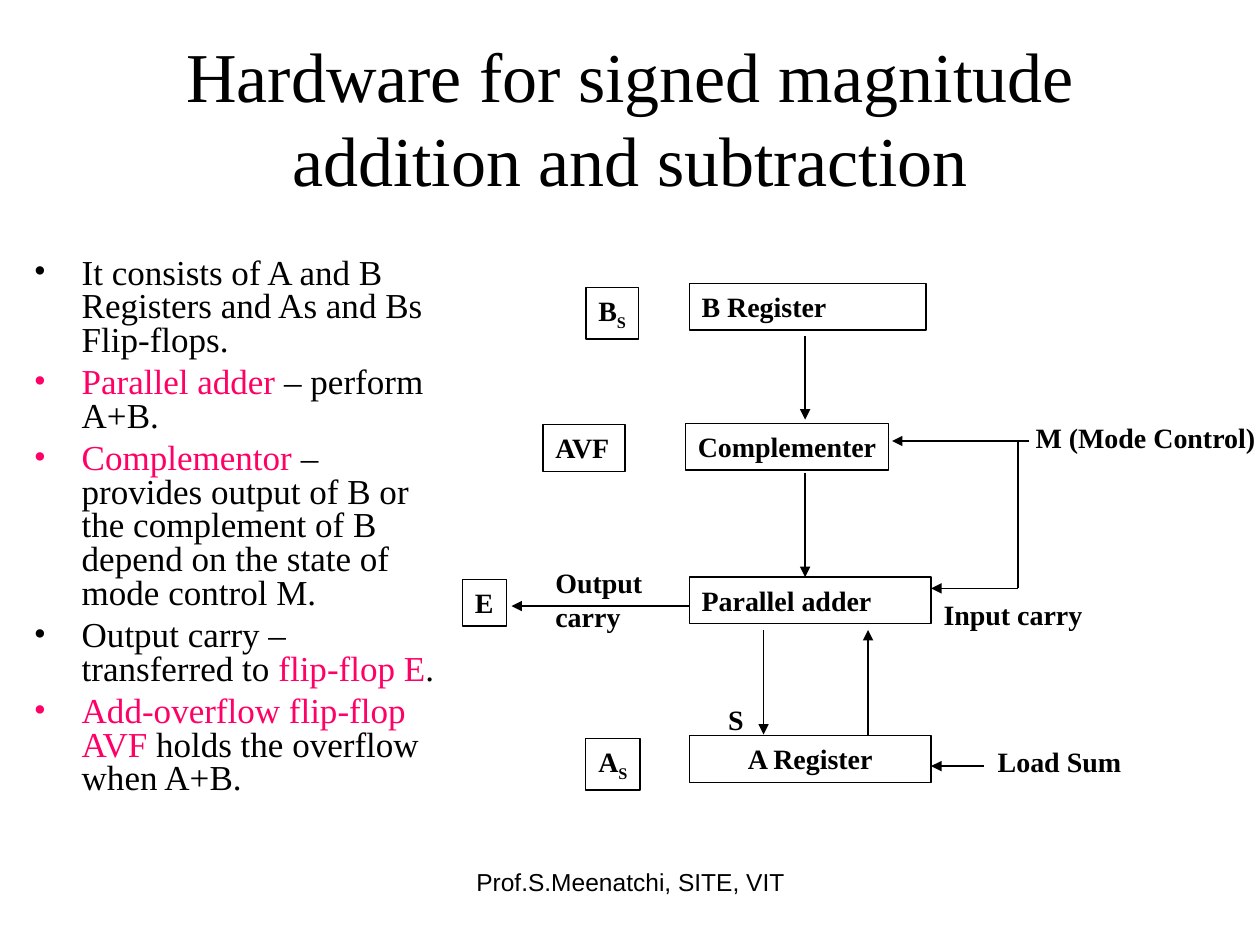
import pptx
import pptx.dml.color
import pptx.enum.shapes
import pptx.enum.text
import pptx.oxml
import pptx.oxml.ns
import pptx.util
from lxml import etree

Inches = pptx.util.Inches
Pt = pptx.util.Pt
ALIGN = pptx.enum.text.PP_ALIGN
ANCHOR = pptx.enum.text.MSO_ANCHOR
qn = pptx.oxml.ns.qn

BLACK = "000000"
PINK = "FF0066"
SERIF = "Times New Roman"
LABEL = {"size": Pt(16), "name": SERIF, "bold": True}
TITLE = {"size": Pt(40), "name": SERIF}
BODY = {"size": Pt(20), "name": SERIF}
FOOTER = {"size": Pt(14), "name": "Arial"}


def colour(value):
    return pptx.dml.color.RGBColor.from_string(value)


class SlideBuilder:
    line_width = Pt(0.75)

    def __init__(self, slide):
        self.slide = slide

    def add_run(self, paragraph, text, style, shade=BLACK):
        run = paragraph.add_run()
        run.text = text
        for name, value in style.items():
            setattr(run.font, name, value)
        run.font.color.rgb = colour(shade)
        return run

    def fill_text(self, shape, lines, style, align=ALIGN.LEFT, wrap=True,
                  anchor=ANCHOR.TOP, subscript=""):
        frame = shape.text_frame
        frame.word_wrap = wrap
        frame.vertical_anchor = anchor
        for index, line in enumerate(lines.split("\n")):
            paragraph = frame.paragraphs[0] if index == 0 else frame.add_paragraph()
            paragraph.alignment = align
            self.add_run(paragraph, line, style)
        if subscript:
            run = self.add_run(paragraph, subscript, style)
            run.font._element.set("baseline", "-25000")

    def text(self, place, lines, style=LABEL, **layout):
        shape = self.slide.shapes.add_textbox(*map(Inches, place))
        self.fill_text(shape, lines, style, **layout)

    def box(self, place, label, **layout):
        rectangle = pptx.enum.shapes.MSO_SHAPE.RECTANGLE
        shape = self.slide.shapes.add_shape(rectangle, *map(Inches, place))
        shape.shadow.inherit = False
        shape.fill.background()
        shape.line.color.rgb = colour(BLACK)
        shape.line.width = self.line_width
        self.fill_text(shape, label, LABEL, **layout)

    def line(self, start, end, arrow=True):
        straight = pptx.enum.shapes.MSO_CONNECTOR.STRAIGHT
        connector = self.slide.shapes.add_connector(
            straight, *map(Inches, start + end))
        connector.line.color.rgb = colour(BLACK)
        connector.line.width = self.line_width
        properties = connector._element.spPr
        if arrow:
            outline = properties.find(qn("a:ln"))
            etree.SubElement(outline, qn("a:tailEnd"), type="triangle")
        etree.SubElement(properties, qn("a:effectLst"))

    def bullets(self, place, items):
        shape = self.slide.shapes.add_textbox(*map(Inches, place))
        frame = shape.text_frame
        frame.word_wrap = True
        for index, parts in enumerate(items):
            paragraph = frame.paragraphs[0] if index == 0 else frame.add_paragraph()
            properties = paragraph._p.get_or_add_pPr()
            properties.set("marL", str(Inches(0.38)))
            properties.set("indent", str(Inches(-0.38)))
            bullet_colour = etree.SubElement(properties, qn("a:buClr"))
            etree.SubElement(bullet_colour, qn("a:srgbClr"), val=parts[0][1])
            etree.SubElement(properties, qn("a:buFont"), typeface=SERIF)
            etree.SubElement(properties, qn("a:buChar"), char="•")
            paragraph.line_spacing = 0.8
            paragraph.space_before = Pt(5 if index else 0)
            for text, shade in parts:
                self.add_run(paragraph, text, BODY, shade)


def main():
    presentation = pptx.Presentation()
    presentation.slide_width = Inches(10)
    presentation.slide_height = Inches(7.5)
    builder = SlideBuilder(
        presentation.slides.add_slide(presentation.slide_layouts[6]))

    builder.text((3.42, 6.83, 3.17, 0.52), "Prof.S.Meenatchi, SITE, VIT",
                 FOOTER, align=ALIGN.CENTER)
    builder.text((0.5, 0.3, 9, 1.25),
                 "Hardware for signed magnitude addition and subtraction",
                 TITLE, align=ALIGN.CENTER, anchor=ANCHOR.MIDDLE)

    builder.box((5.47, 2.25, 1.88, 0.37), "B Register")
    builder.box((5.44, 3.36, 1.61, 0.37), "Complementer", wrap=False)
    builder.box((5.47, 4.58, 1.92, 0.37), "Parallel adder")
    builder.box((5.47, 5.84, 1.92, 0.37), "A Register", align=ALIGN.CENTER)

    builder.box((4.65, 2.28, 0.42, 0.41), "B", wrap=False, subscript="S")
    builder.box((4.31, 3.37, 0.65, 0.37), "AVF", wrap=False)
    builder.box((3.67, 4.6, 0.35, 0.37), "E", wrap=False)
    builder.box((4.65, 5.86, 0.43, 0.41), "A", wrap=False, subscript="S")

    for place, label in (
        ((4.31, 4.44, 0.94, 0.64), "Output\ncarry"),
        ((5.68, 5.53, 0.32, 0.37), "S"),
        ((7.39, 4.69, 1.3, 0.37), "Input carry"),
        ((8.12, 3.29, 1.95, 0.37), "M (Mode Control)"),
        ((7.82, 5.86, 1.18, 0.37), "Load Sum"),
    ):
        builder.text(place, label, wrap=False)

    for start, end in (
        ((8.17, 3.5), (7.08, 3.5)),
        ((7.81, 6.08), (7.39, 6.08)),
        ((6.06, 5), (6.06, 5.83)),
        ((6.89, 5.83), (6.89, 5)),
        ((6.39, 3.75), (6.39, 4.58)),
        ((6.39, 2.67), (6.39, 3.33)),
        ((8.08, 4.67), (7.39, 4.67)),
        ((5.47, 4.81), (4.06, 4.81)),
    ):
        builder.line(start, end)
    builder.line((8.08, 3.5), (8.08, 4.67), arrow=False)

    builder.bullets((0.17, 2, 3.42, 4.95), (
        (("It consists of A and B Registers and As and Bs Flip-flops.", BLACK),),
        (("Parallel adder", PINK), (" – perform A+B.", BLACK)),
        (("Complementor", PINK),
         (" – provides output of B or the complement of B depend on the state"
          " of mode control M.", BLACK)),
        (("Output carry – transferred to ", BLACK), ("flip-flop E", PINK),
         (".", BLACK)),
        (("Add-overflow flip-flop AVF", PINK),
         (" holds the overflow when A+B.", BLACK)),
    ))

    presentation.save("out.pptx")


if __name__ == "__main__":
    main()
